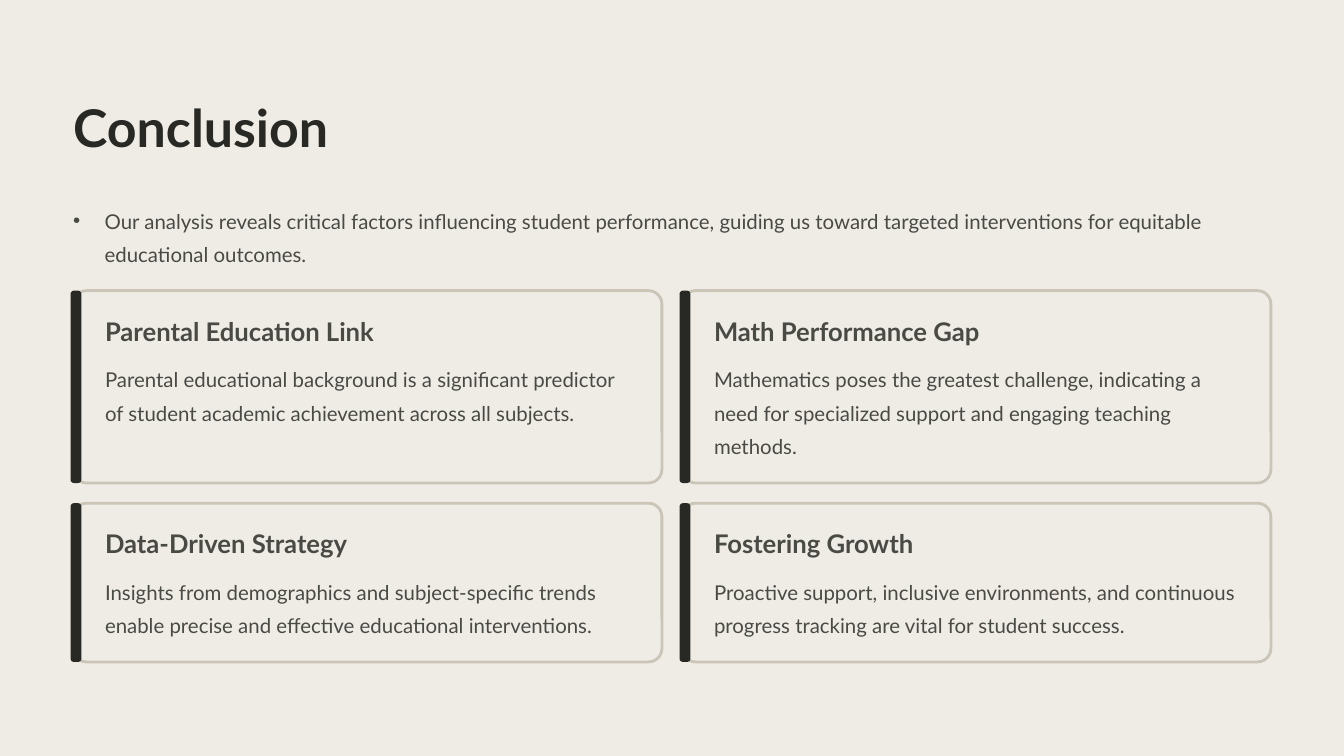
from lxml.etree import SubElement
from pptx import Presentation
from pptx.dml.color import RGBColor
from pptx.enum.shapes import MSO_SHAPE
from pptx.enum.text import MSO_ANCHOR, MSO_AUTO_SIZE, PP_ALIGN
from pptx.oxml.ns import qn
from pptx.util import Inches, Pt

PAPER, INK, GREY, EDGE = "EFECE6", "282824", "4A4A45", "CBC5B8"

INTRO = ("Our analysis reveals critical factors influencing student performance, "
         "guiding us toward targeted interventions for equitable educational outcomes.")

# Each row: top, height, cards
ROWS = [
    (3.46, 2.29, [
        ("Parental Education Link",
         "Parental educational background is a significant predictor of student "
         "academic achievement across all subjects."),
        ("Math Performance Gap",
         "Mathematics poses the greatest challenge, indicating a need for "
         "specialized support and engaging teaching methods."),
    ]),
    (5.99, 1.89, [
        ("Data-Driven Strategy",
         "Insights from demographics and subject-specific trends enable precise "
         "and effective educational interventions."),
        ("Fostering Growth",
         "Proactive support, inclusive environments, and continuous progress "
         "tracking are vital for student success."),
    ]),
]
LEFT, PITCH, WIDTH = 0.87, 7.25, 7.01


def color(code):
    return RGBColor.from_string(code)


class Deck:
    font = "Lato"

    def __init__(self, wide, high):
        self.show = Presentation()
        self.show.slide_width = Inches(wide)
        self.show.slide_height = Inches(high)
        self.slide = self.show.slides.add_slide(self.show.slide_layouts[1])
        fill = self.slide.background.fill
        fill.solid()
        fill.fore_color.rgb = color(PAPER)

    def place(self, shape, box):
        shape.left, shape.top, shape.width, shape.height = map(Inches, box)

    def style(self, shape, text, size, lead, ink, bold=False, wrap=True):
        """Set the text of a shape and format it."""
        frame = shape.text_frame
        frame.text = text
        frame.word_wrap = wrap
        frame.auto_size = MSO_AUTO_SIZE.NONE
        frame.vertical_anchor = MSO_ANCHOR.TOP
        frame.margin_left = frame.margin_right = 0
        frame.margin_top = frame.margin_bottom = 0
        para = frame.paragraphs[0]
        para.alignment = PP_ALIGN.LEFT
        para.line_spacing = Pt(lead)
        para.space_before = Pt(0)
        font = para.font
        font.name, font.size, font.bold = self.font, Pt(size), bold
        font.color.rgb = color(ink)

    def title(self, box, text):
        shape = self.slide.shapes.title
        self.place(shape, box)
        self.style(shape, text, 44.5, 55.5, INK, bold=True, wrap=False)

    def intro(self, box, text):
        """Fill the body placeholder with an unbulleted paragraph."""
        shape = self.slide.placeholders[1]
        self.place(shape, box)
        props = shape.text_frame.paragraphs[0]._p.get_or_add_pPr()
        props.set("marL", "0")
        props.set("indent", "0")
        SubElement(props, qn("a:buNone"))
        self.style(shape, text, 17.5, 28.5, GREY)

    def text(self, box, text, *style, **extra):
        shape = self.slide.shapes.add_textbox(*map(Inches, box))
        self.style(shape, text, *style, **extra)

    def panel(self, box, radius, fill, edge=None):
        shape = self.slide.shapes.add_shape(
            MSO_SHAPE.ROUNDED_RECTANGLE, *map(Inches, box))
        shape.adjustments[0] = radius / min(box[2:])
        shape.shadow.inherit = False
        shape.fill.solid()
        shape.fill.fore_color.rgb = color(fill)
        if edge:
            shape.line.color.rgb = color(edge)
            shape.line.width = Pt(2.4)
        else:
            shape.line.fill.background()

    def card(self, left, top, high, head, body):
        self.panel((left, top, WIDTH, high), 0.16, PAPER, EDGE)
        self.panel((left - 0.03, top, 0.13, high), 0.04, INK)
        self.text((left + 0.38, top + 0.28, 3.29, 0.39), head,
                  22, 27.5, GREY, bold=True, wrap=False)
        self.text((left + 0.38, top + 0.81, 6.35, high - 1.1), body,
                  17.5, 28.5, GREY)


def main():
    deck = Deck(16, 9)
    deck.title((LEFT, 1.11, 6.2, 0.78), "Conclusion")
    deck.intro((LEFT, 2.38, 14.26, 0.79), INTRO)
    for top, high, cards in ROWS:
        for col, (head, body) in enumerate(cards):
            deck.card(LEFT + col * PITCH, top, high, head, body)
    deck.show.save("out.pptx")


if __name__ == "__main__":
    main()
